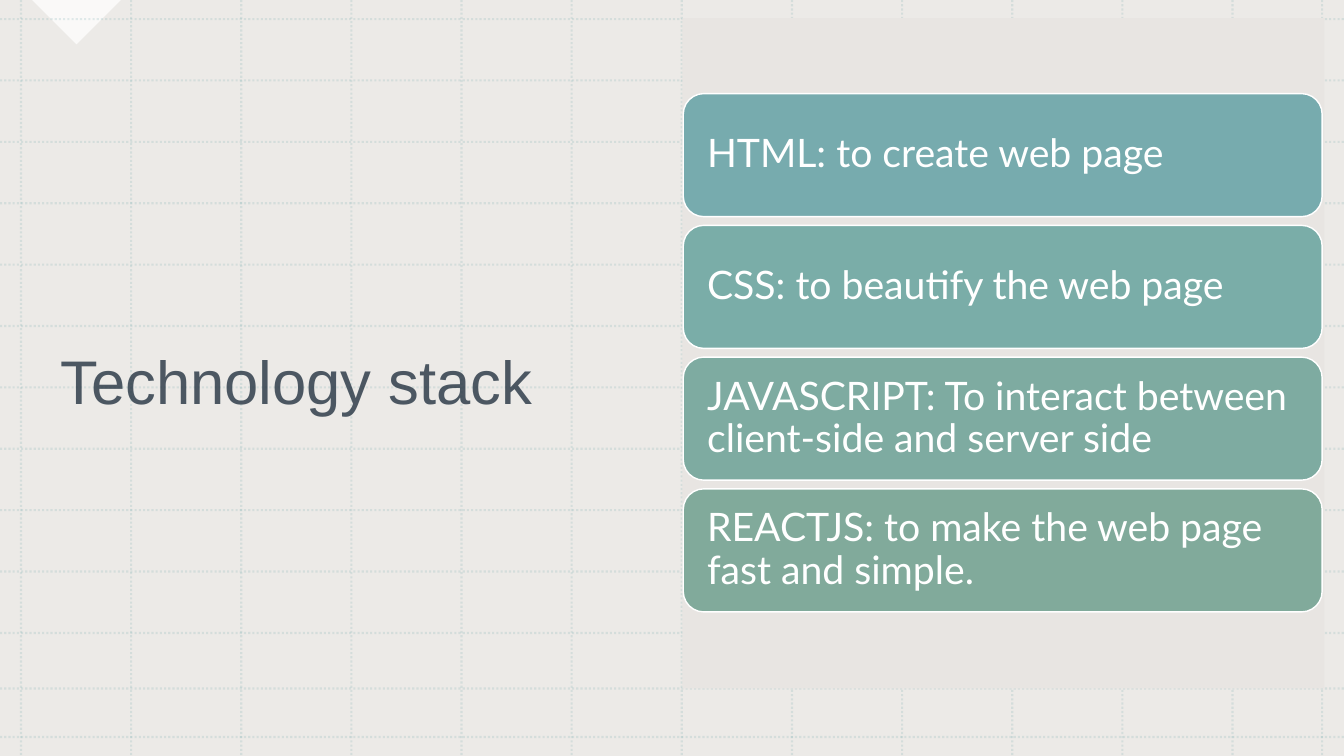
from dataclasses import dataclass

import pptx
import pptx.dml.color
import pptx.enum.dml
import pptx.enum.shapes
import pptx.enum.text
import pptx.oxml
import pptx.oxml.ns
import pptx.util
from pptx.util import Cm

SHAPE = pptx.enum.shapes.MSO_SHAPE
WIDTH, HEIGHT = 33.87, 19.05
CARD_LEFT, CARD_TOP, CARD_WIDTH, CARD_HEIGHT = 17.22, 2.36, 16.1, 3.1
CARD_PITCH = 3.32


@dataclass
class Card:
    text: str
    color: str


CARDS = [
    Card("HTML: to create web page", "77ABAE"),
    Card("CSS: to beautify the web page", "7AADA8"),
    Card("JAVASCRIPT: To interact between client-side and server side", "7EABA1"),
    Card("REACTJS: to make the web page fast and simple.", "81AA9B"),
]


def rgb(color: str) -> pptx.dml.color.RGBColor:
    return pptx.dml.color.RGBColor.from_string(color)


def set_opacity(element, percent: int) -> None:
    for clr in element.iter(pptx.oxml.ns.qn("a:srgbClr")):
        alpha = clr.makeelement(pptx.oxml.ns.qn("a:alpha"), {"val": str(percent * 1000)})
        clr.append(alpha)


def add_block(s, kind, x: float, y: float, w: float, h: float, color: str, opacity: int = 100):
    sp = s.shapes.add_shape(kind, Cm(x), Cm(y), Cm(w), Cm(h))
    sp.shadow.inherit = False
    sp.fill.solid()
    sp.fill.fore_color.rgb = rgb(color)
    sp.line.fill.background()
    if opacity < 100:
        set_opacity(sp.element, opacity)
    return sp


def add_grid_line(s, x1: float, y1: float, x2: float, y2: float) -> None:
    line = s.shapes.add_connector(
        pptx.enum.shapes.MSO_CONNECTOR.STRAIGHT, Cm(x1), Cm(y1), Cm(x2), Cm(y2)
    )
    line.line.color.rgb = rgb("77ABAE")
    line.line.width = pptx.util.Pt(1.5)
    line.line.dash_style = pptx.enum.dml.MSO_LINE.ROUND_DOT
    set_opacity(line.element, 20)
    line.element.spPr.append(pptx.oxml.parse_xml(f"<a:effectLst {pptx.oxml.ns.nsdecls('a')}/>"))


def add_grid(s) -> None:
    columns = [0.53 + i * (31.06 - 0.53) / 11 for i in range(12)] + [33.32]
    rows = [0.48 + i * (15.95 - 0.48) / 10 for i in range(11)] + [17.35, 18.57]
    for x in columns:
        add_grid_line(s, x, 0, x, HEIGHT)
    for y in rows:
        add_grid_line(s, 0, y, WIDTH, y)


def write(sp, text: str, font: str, size: int, color: str) -> None:
    tf = sp.text_frame
    tf.word_wrap = True
    tf.vertical_anchor = pptx.enum.text.MSO_ANCHOR.MIDDLE
    tf.text = text
    p = tf.paragraphs[0]
    p.alignment = pptx.enum.text.PP_ALIGN.LEFT
    p.line_spacing = 0.9
    r = p.runs[0]
    r.font.name = font
    r.font.size = pptx.util.Pt(size)
    r.font.color.rgb = rgb(color)


def add_title(s) -> None:
    sp = s.shapes.add_textbox(Cm(1.27), Cm(2.01), Cm(15.42), Cm(15.37))
    write(sp, "Technology stack", "Arial", 44, "243341")
    set_opacity(sp.element, 80)


def add_card(s, card: Card, index: int) -> None:
    top = CARD_TOP + index * CARD_PITCH
    sp = add_block(
        s, SHAPE.ROUNDED_RECTANGLE, CARD_LEFT, top, CARD_WIDTH, CARD_HEIGHT, card.color
    )
    sp.line.color.rgb = rgb("FFFFFF")
    sp.line.width = pptx.util.Pt(1)
    tf = sp.text_frame
    tf.margin_left = tf.margin_right = Cm(0.45)
    tf.margin_top = tf.margin_bottom = Cm(0.3)
    write(sp, card.text, "Lato", 28, "FFFFFF")


def main() -> None:
    prs = pptx.Presentation()
    prs.slide_width, prs.slide_height = Cm(WIDTH), Cm(HEIGHT)
    s = prs.slides.add_slide(prs.slide_layouts[6])
    add_block(s, SHAPE.RECTANGLE, 0, 0, WIDTH, HEIGHT, "E8E5E2", 80)
    corner = add_block(s, SHAPE.RIGHT_TRIANGLE, 1.14, -0.79, 1.58, 1.58, "FFFFFF", 75)
    corner.rotation = 315
    add_grid(s)
    add_title(s)
    add_block(s, SHAPE.RECTANGLE, 17.2, 0.46, 16.18, 16.89, "E8E5E2")
    for index, card in enumerate(CARDS):
        add_card(s, card, index)
    prs.save("out.pptx")


if __name__ == "__main__":
    main()
